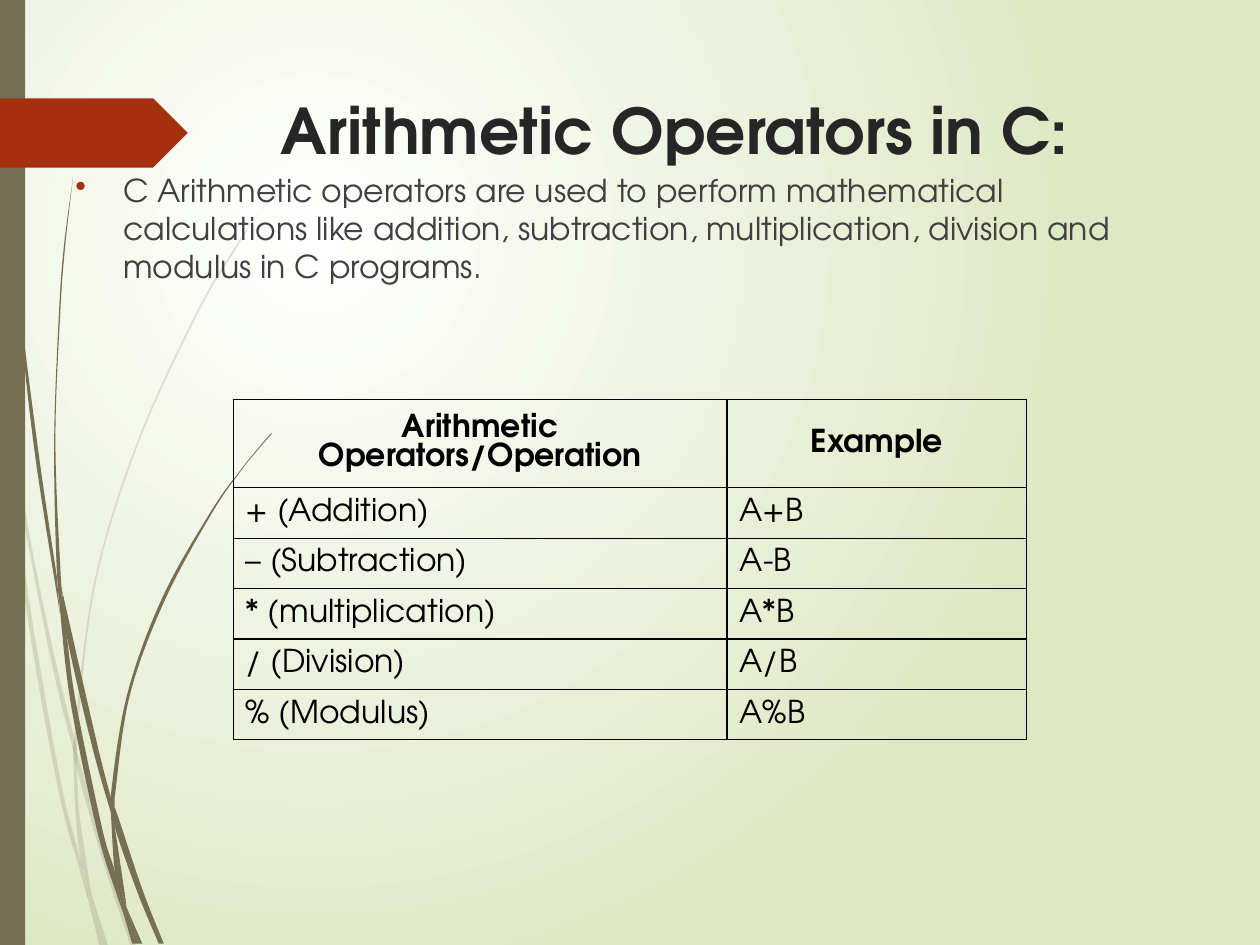
from typing import NamedTuple

from lxml.etree import SubElement
from pptx import Presentation
from pptx.dml.color import RGBColor
from pptx.enum.shapes import MSO_SHAPE
from pptx.enum.text import MSO_ANCHOR, PP_ALIGN
from pptx.oxml.ns import qn
from pptx.util import Inches, Pt

FONT = "TeX Gyre Adventor"
WHITE = RGBColor(0xFF, 0xFF, 0xFF)
PALE_GREEN = RGBColor(0xDF, 0xE8, 0xC4)
OLIVE = RGBColor(0x76, 0x6F, 0x54)
RUST = RGBColor(0xA5, 0x30, 0x10)
TITLE_GREY = RGBColor(0x26, 0x26, 0x26)
BODY_GREY = RGBColor(0x40, 0x40, 0x40)
BLACK = RGBColor(0, 0, 0)

Point = tuple[float, float]


class Blade(NamedTuple):
    """A grass blade bounded by two smooth edges, one down and one back."""
    down: list[Point]
    back: list[Point]


FADED_BLADES = [
    Blade([(0, 2.82), (0.06, 3.22), (0.08, 3.5)], [(0.07, 3.44), (0, 2.99)]),
    Blade([(0.1, 3.45), (0.12, 3.76), (0.4, 5.22), (0.59, 5.99)],
          [(0.59, 5.86), (0.43, 5.2), (0.25, 4.33), (0.1, 3.45)]),
    Blade([(0.61, 5.96), (0.61, 6.1), (0.85, 6.94), (1.04, 7.51)],
          [(1.08, 7.51), (0.88, 6.92), (0.64, 6.07), (0.61, 5.96)]),
    Blade([(0.73, 7.11), (0.83, 7.51)], [(0.86, 7.51), (0.73, 7.11)]),
    Blade([(0.08, 3.5), (0.19, 4.7), (0.45, 6.21), (0.64, 6.93), (0.7, 7.14)],
          [(0.69, 7.07), (0.64, 6.83), (0.48, 6.19), (0.22, 4.69), (0.12, 3.76), (0.08, 3.5)]),
    Blade([(0.58, 5.99), (0.6, 6.46), (0.64, 6.83), (0.67, 6.92), (0.73, 7.11)],
          [(0.72, 7.06), (0.63, 6.46), (0.61, 6.1), (0.58, 5.99)]),
    Blade([(0.61, 5.84), (0.76, 4.62), (1.11, 3.49), (1.59, 2.45), (1.87, 1.98),
           (2.01, 1.75), (2.17, 1.54)],
          [(2.17, 1.53), (2.01, 1.75), (1.86, 1.97), (1.58, 2.44), (1.1, 3.48),
           (0.75, 4.61), (0.59, 5.84), (0.61, 5.96)]),
    Blade([(0.7, 7.14), (0.79, 7.51)], [(0.82, 7.51), (0.7, 7.14)]),
    Blade([(0.61, 6.1), (0.61, 5.96), (0.59, 5.86)], [(0.58, 5.99), (0.61, 6.08)]),
    Blade([(0.65, 6.83), (0.69, 7.07), (0.7, 7.14), (0.82, 7.51)],
          [(0.83, 7.51), (0.73, 7.11), (0.67, 6.92), (0.65, 6.83)]),
]

SOLID_BLADES = [
    Blade([(0.02, 0), (0.03, 0.48), (0.05, 1.1), (0.14, 2.33), (0.27, 3.55), (0.46, 4.77), (0.47, 4.81)],
          [(0.45, 4.57), (0.3, 3.55), (0.15, 2.32), (0.06, 1.09), (0.04, 0.48), (0.03, 0)]),
    Blade([(0.5, 4.72), (0.53, 5.05), (0.73, 5.92), (0.88, 6.45)],
          [(0.88, 6.33), (0.77, 5.9), (0.5, 4.72)]),
    Blade([(0.91, 6.41), (0.91, 6.56), (1.09, 7.08), (1.26, 7.49)],
          [(1.3, 7.49), (1.13, 7.06), (0.94, 6.49), (0.91, 6.41)]),
    Blade([(0.47, 4.77), (0.56, 5.57), (0.77, 6.59), (0.92, 7.08), (0.97, 7.22)],
          [(0.96, 7.17), (0.91, 6.91), (0.81, 6.57), (0.6, 5.56), (0.53, 5.05), (0.47, 4.77)]),
    Blade([(0.5, 4.72), (0.48, 4.53), (0.44, 3.49), (0.48, 2.45), (0.52, 1.93), (0.58, 1.41)],
          [(0.58, 1.41), (0.51, 1.93), (0.47, 2.45), (0.43, 3.49), (0.45, 4.49), (0.49, 4.72)]),
    Blade([(1, 7.19), (1.1, 7.49)], [(1.13, 7.49), (1, 7.19)]),
    Blade([(0.45, 4.49), (0.47, 4.77), (0.53, 5.05)],
          [(0.5, 4.72), (0.49, 4.72), (0.45, 4.49)]),
    Blade([(0.91, 6.33), (1.03, 5.52), (1.31, 4.76), (1.69, 4.06), (1.91, 3.74),
           (2.03, 3.59), (2.16, 3.44)],
          [(2.15, 3.44), (2.03, 3.58), (1.91, 3.73), (1.68, 4.05), (1.29, 4.74),
           (1.01, 5.51), (0.88, 6.31), (0.91, 6.41)]),
    Blade([(0.97, 7.22), (1.05, 7.49)], [(1.08, 7.49), (0.97, 7.22)]),
    Blade([(0.88, 6.45), (0.91, 6.91), (0.96, 7.06), (1, 7.19)],
          [(1, 7.16), (0.91, 6.56), (0.88, 6.45)]),
    Blade([(0.88, 6.31), (0.88, 6.45), (0.91, 6.56)], [(0.91, 6.41), (0.88, 6.31)]),
    Blade([(0.91, 6.91), (0.96, 7.17), (0.97, 7.22), (1.08, 7.49)],
          [(1.1, 7.49), (1, 7.19), (0.96, 7.06), (0.91, 6.91)]),
]

TABLE_ROWS = [
    ("Arithmetic Operators/Operation", "Example"),
    ("+ (Addition)", "A+B"),
    ("– (Subtraction)", "A-B"),
    ("* (multiplication)", "A*B"),
    ("/ (Division)", "A/B"),
    ("% (Modulus)", "A%B"),
]


def curve_controls(edge: list[Point]) -> list[tuple[Point, Point, Point]]:
    """Bézier controls and end of each segment of a smooth curve through the edge."""
    padded = [edge[0], *edge, edge[-1]]
    return [((b[0] + (c[0] - a[0]) / 6, b[1] + (c[1] - a[1]) / 6),
             (c[0] - (d[0] - b[0]) / 6, c[1] - (d[1] - b[1]) / 6), c)
            for a, b, c, d in zip(padded, padded[1:], padded[2:], padded[3:])]


def paint(shape, color: RGBColor, opacity: int = 100) -> None:
    shape.shadow.inherit = False
    shape.fill.solid()
    shape.fill.fore_color.rgb = color
    shape.line.fill.background()
    if opacity < 100:
        color_element = shape.element.spPr.find(qn("a:solidFill"))[0]
        SubElement(color_element, qn("a:alpha"), val=str(opacity * 1000))


def draw_blade(slide, blade: Blade, opacity: int) -> None:
    start, *rest = [(Inches(x), Inches(y)) for x, y in blade.down + blade.back]
    builder = slide.shapes.build_freeform(*start)
    builder.add_line_segments(rest, close=True)
    shape = builder.convert_to_shape()
    paint(shape, OLIVE, opacity)

    lines = list(shape.element.iter(qn("a:lnTo")))
    join = len(blade.down) - 1
    segments = curve_controls(blade.down) + curve_controls(blade.back)
    for line, controls in zip(lines[:join] + lines[join + 1:], segments):
        curve = line.makeelement(qn("a:cubicBezTo"), {})
        for x, y in controls:
            SubElement(curve, qn("a:pt"), x=str(Inches(x) - shape.left), y=str(Inches(y) - shape.top))
        line.getparent().replace(line, curve)


def draw_background(slide) -> None:
    fill = slide.background.fill
    fill.gradient()
    for stop, color in zip(fill.gradient_stops, (WHITE, PALE_GREEN)):
        stop.color.rgb = color
    gradient = next(slide.element.iter(qn("a:gradFill")))
    gradient.remove(gradient.find(qn("a:lin")))
    circle = SubElement(gradient, qn("a:path"), path="circle")
    SubElement(circle, qn("a:fillToRect"), l="50000", t="50000", r="100000", b="100000")


def set_font(para, size: int, color: RGBColor, bold: bool = False) -> None:
    para.font.name = FONT
    para.font.size = Pt(size)
    para.font.bold = bold
    para.font.color.rgb = color


def add_text(slide, left: float, top: float, width: float, height: float, text: str):
    """Add a wrapping text box and return its paragraph."""
    box = slide.shapes.add_textbox(Inches(left), Inches(top), Inches(width), Inches(height))
    box.text_frame.word_wrap = True
    para = box.text_frame.paragraphs[0]
    para.text = text
    return para


def add_bullet(para, indent: float) -> None:
    properties = para._p.get_or_add_pPr()
    properties.set("marL", str(Inches(indent)))
    properties.set("indent", str(-Inches(indent)))
    bullet_color = SubElement(properties, qn("a:buClr"))
    SubElement(bullet_color, qn("a:srgbClr"), val=str(RUST))
    SubElement(properties, qn("a:buChar"), char="•")


def add_borders(cell) -> None:
    properties = cell._tc.get_or_add_tcPr()
    for position, side in enumerate(("lnL", "lnR", "lnT", "lnB")):
        line = properties.makeelement(qn(f"a:{side}"), {"w": str(Pt(0.75))})
        properties.insert(position, line)
        SubElement(SubElement(line, qn("a:solidFill")), qn("a:srgbClr"), val=str(BLACK))


def draw_table(slide) -> None:
    frame = slide.shapes.add_table(len(TABLE_ROWS), 2, Inches(1.85), Inches(3.17),
                                   Inches(6.3), Inches(2.23))
    table = frame.table
    for column, width in zip(table.columns, (3.92, 2.38)):
        column.width = Inches(width)
    for row_index, texts in enumerate(TABLE_ROWS):
        header = row_index == 0
        table.rows[row_index].height = Inches(0.56 if header else 0.33)
        for column_index, text in enumerate(texts):
            cell = table.cell(row_index, column_index)
            cell.fill.background()
            cell.vertical_anchor = MSO_ANCHOR.MIDDLE
            add_borders(cell)
            para = cell.text_frame.paragraphs[0]
            para.text = text
            para.alignment = PP_ALIGN.CENTER if header else PP_ALIGN.LEFT
            set_font(para, 18, BLACK, bold=header)


def main() -> None:
    deck = Presentation()
    deck.slide_width, deck.slide_height = Inches(10), Inches(7.5)
    slide = deck.slides.add_slide(deck.slide_layouts[6])
    draw_background(slide)
    for blades, opacity in ((FADED_BLADES, 20), (SOLID_BLADES, 100)):
        for blade in blades:
            draw_blade(slide, blade, opacity)
    for kind, top, width, height, color in ((MSO_SHAPE.RECTANGLE, 0, 0.2, 7.5, OLIVE),
                                            (MSO_SHAPE.PENTAGON, 0.78, 1.49, 0.55, RUST)):
        paint(slide.shapes.add_shape(kind, 0, Inches(top), Inches(width), Inches(height)), color)

    title = add_text(slide, 2.13, 0.68, 7.21, 1.4, "Arithmetic Operators in C:")
    set_font(title, 36, TITLE_GREY, bold=True)
    body = add_text(slide, 0.5, 1.31, 9, 5.61,
                    "C Arithmetic operators are used to perform mathematical calculations like "
                    "addition, subtraction, multiplication, division and modulus in C programs.")
    add_bullet(body, 0.38)
    set_font(body, 18, BODY_GREY)
    draw_table(slide)
    deck.save("out.pptx")


if __name__ == "__main__":
    main()
